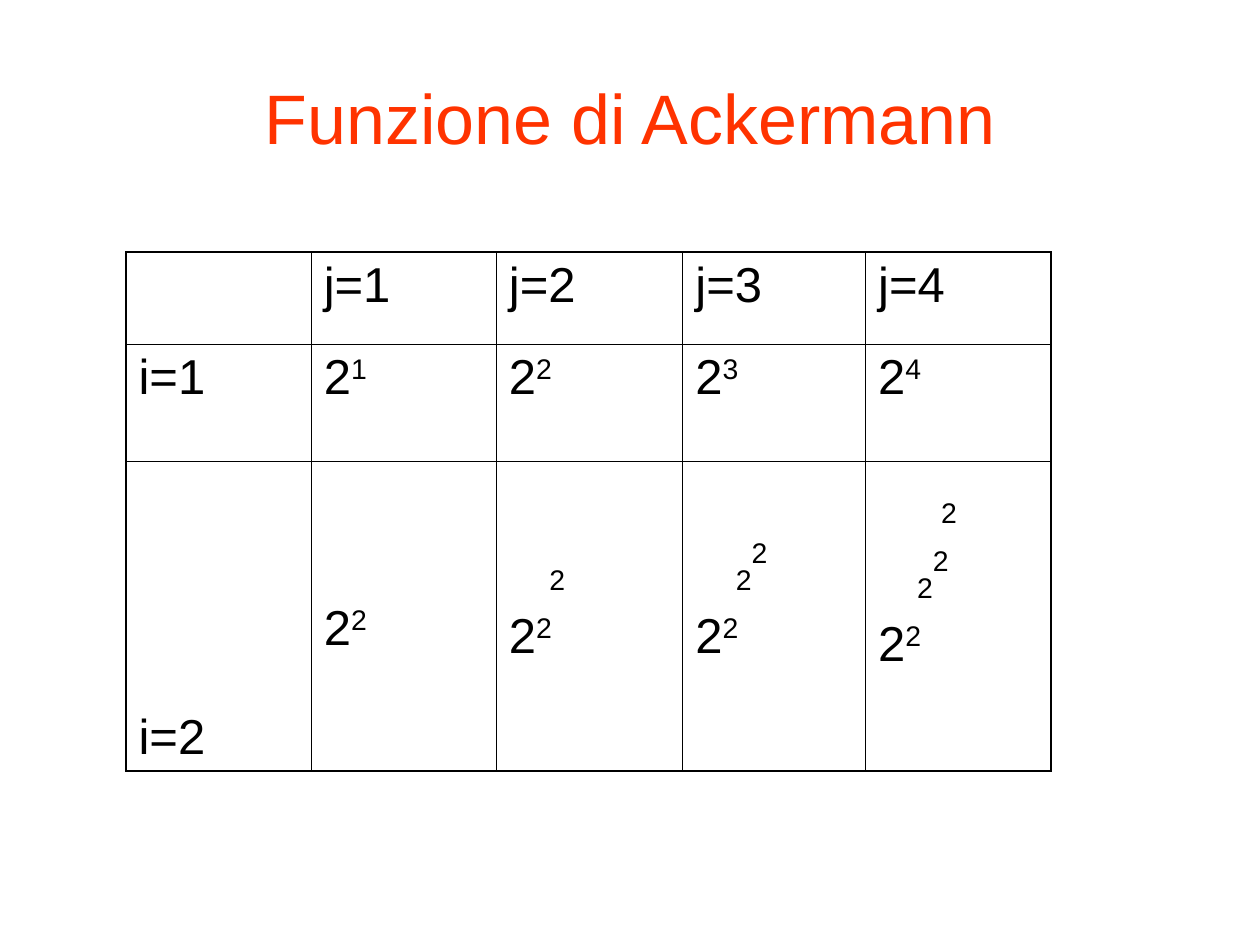
from lxml.etree import SubElement
from pptx import Presentation
from pptx.dml.color import RGBColor
from pptx.enum.text import MSO_ANCHOR as Anchor, PP_ALIGN as Align
from pptx.oxml.ns import qn
from pptx.util import Inches, Pt

RED = RGBColor(0xFF, 0x33, 0x00)
BLACK = RGBColor(0, 0, 0)
FONT = "Arial"
COLUMN_WIDTHS = (1.47, 1.47, 1.48, 1.45, 1.47)
ROW_HEIGHTS = (0.73, 0.93, 2.46)
OUTER, INNER = Pt(1.08), Pt(0.45)
RAISED, LOWERED = 30, -25
PADDING, TOWER_STEP = 0.05, 0.53


def add_run(paragraph, text, size, color, baseline=0):
    run = paragraph.add_run()
    run.text = text
    run.font.name = FONT
    run.font.size = Pt(size)
    run.font.color.rgb = color
    if baseline:
        run._r.get_or_add_rPr().set("baseline", str(baseline * 1000))


def add_title(slide, text):
    title = slide.shapes.title
    title.left, title.top = Inches(0.5), Inches(0.3)
    title.width, title.height = Inches(9), Inches(1.25)
    title.text_frame.vertical_anchor = Anchor.MIDDLE
    paragraph = title.text_frame.paragraphs[0]
    paragraph.alignment = Align.CENTER
    add_run(paragraph, text, 40, RED)


def draw_borders(cell, row, column):
    properties = cell._tc.get_or_add_tcPr()
    edges = {
        "a:lnL": column == 0,
        "a:lnR": column == len(COLUMN_WIDTHS) - 1,
        "a:lnT": row == 0,
        "a:lnB": row == len(ROW_HEIGHTS) - 1,
    }
    for tag, is_outer in edges.items():
        border = SubElement(properties, qn(tag), w=str(OUTER if is_outer else INNER))
        fill = SubElement(border, qn("a:solidFill"))
        SubElement(fill, qn("a:srgbClr"), val=str(BLACK))


def fill_cell(cell, lines, drop=0, anchor=Anchor.TOP):
    cell.margin_left = cell.margin_right = Inches(0.1)
    cell.margin_top = Inches(PADDING + drop * TOWER_STEP)
    cell.margin_bottom = Inches(PADDING)
    cell.vertical_anchor = anchor
    frame = cell.text_frame
    for number, (indent, runs) in enumerate(lines):
        paragraph = frame.add_paragraph() if number else frame.paragraphs[0]
        if number:
            paragraph.space_before = Pt(7)
        if indent:
            paragraph._p.get_or_add_pPr().set("marL", str(Inches(indent)))
        for text, baseline in runs:
            add_run(paragraph, text, 28, BLACK, baseline)


def label(text):
    return [(0, [(text, 0)])]


def power(exponent):
    return (0, [("2", 0), (str(exponent), RAISED)])


def add_values_table(slide):
    table = slide.shapes.add_table(
        len(ROW_HEIGHTS), len(COLUMN_WIDTHS), Inches(1), Inches(2),
        Inches(sum(COLUMN_WIDTHS)), Inches(sum(ROW_HEIGHTS))).table
    table.first_row = table.horz_banding = False
    for column, width in zip(table.columns, COLUMN_WIDTHS):
        column.width = Inches(width)
    for row, height in zip(table.rows, ROW_HEIGHTS):
        row.height = Inches(height)
    for row in range(len(ROW_HEIGHTS)):
        for column in range(len(COLUMN_WIDTHS)):
            cell = table.cell(row, column)
            draw_borders(cell, row, column)
            cell.fill.background()

    for j in range(1, len(COLUMN_WIDTHS)):
        fill_cell(table.cell(0, j), label(f"j={j}"))
        fill_cell(table.cell(1, j), [power(j)])
    fill_cell(table.cell(1, 0), label("i=1"))
    fill_cell(table.cell(2, 0), label("i=2"), anchor=Anchor.BOTTOM)

    low, high = ("2", LOWERED), ("2", RAISED)
    towers = [
        [power(2)],
        [(0.32, [low]), power(2)],
        [(0.32, [low, high]), power(2)],
        [(0.5, [low]), (0.31, [low, high]), power(2)],
    ]
    for j, tower in enumerate(towers, start=1):
        fill_cell(table.cell(2, j), tower, drop=3 - len(tower))


def main():
    deck = Presentation()
    deck.slide_width, deck.slide_height = Inches(10), Inches(7.5)
    slide = deck.slides.add_slide(deck.slide_layouts[5])
    add_title(slide, "Funzione di Ackermann")
    add_values_table(slide)
    deck.save("out.pptx")


if __name__ == "__main__":
    main()
